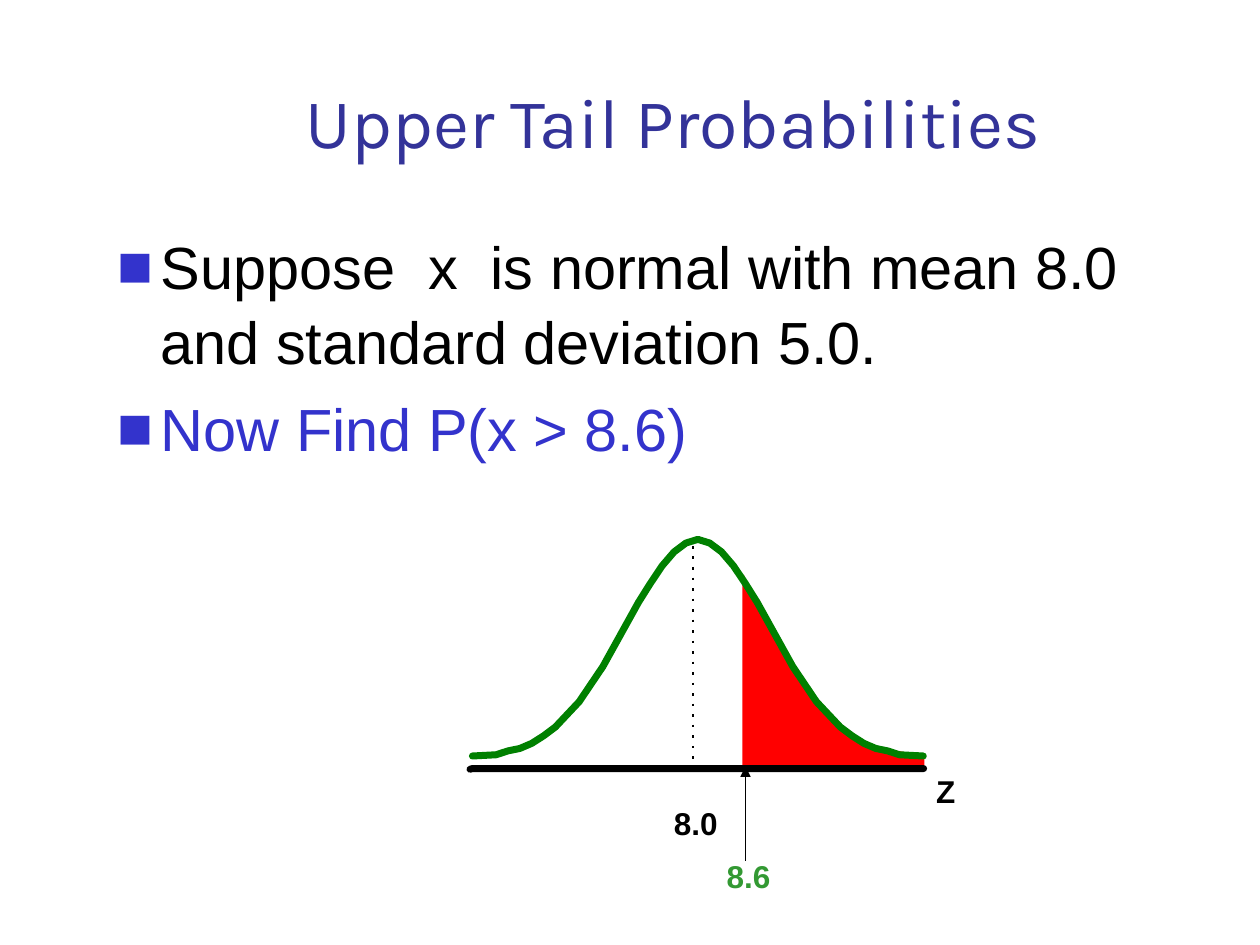
from dataclasses import dataclass

from lxml.etree import SubElement
from pptx import Presentation
from pptx.dml.color import RGBColor
from pptx.enum.shapes import MSO_CONNECTOR
from pptx.enum.text import MSO_ANCHOR, PP_ALIGN
from pptx.oxml.ns import qn
from pptx.util import Pt


@dataclass(frozen=True)
class Theme:
    title_font: str = "Karla"
    body_font: str = "Arial"
    title_size: float = 40
    body_size: float = 34
    label_size: float = 18
    title: str = "333399"
    accent: str = "3333CC"
    text: str = "000000"
    curve: str = "008000"
    tail: str = "FF0000"
    cutoff: str = "339933"


def add_xml(parent, tag, **attributes):
    return SubElement(parent, qn(tag), attributes)


class SlideBuilder:
    def __init__(self, slide, theme):
        self.slide = slide
        self.theme = theme

    def text(self, box, lines, font, size, bold=False, wrap=True,
             anchor=MSO_ANCHOR.TOP, bullet=None, **paragraph_format):
        shape = self.slide.shapes.add_textbox(*map(Pt, box))
        frame = shape.text_frame
        frame.word_wrap = wrap
        frame.vertical_anchor = anchor
        for index, (content, color) in enumerate(lines):
            paragraph = frame.paragraphs[0] if index == 0 else frame.add_paragraph()
            for name, value in paragraph_format.items():
                setattr(paragraph, name, value)
            run = paragraph.add_run()
            run.text = content
            for name, value in {"name": font, "size": Pt(size), "bold": bold}.items():
                setattr(run.font, name, value)
            run.font.color.rgb = RGBColor.from_string(color)
            if bullet:
                self.bullet(paragraph, bullet)
        return shape

    def bullet(self, paragraph, symbol):
        properties = paragraph._p.get_or_add_pPr()
        indent = Pt(25)
        properties.set("marL", str(indent))
        properties.set("indent", str(-indent))
        color = add_xml(properties, "a:buClr")
        add_xml(color, "a:srgbClr", val=self.theme.accent)
        add_xml(properties, "a:buFont", typeface=self.theme.body_font)
        add_xml(properties, "a:buChar", char=symbol)

    def label(self, left, top, width, content, color):
        self.text((left, top, width, 28.8), [(content, color)],
                  self.theme.body_font, self.theme.label_size, bold=True, wrap=False)

    def outline(self, points, color, width, fill=None):
        start, *rest = [(Pt(x), Pt(y)) for x, y in points]
        builder = self.slide.shapes.build_freeform(*start)
        builder.add_line_segments(rest, close=fill is not None)
        shape = builder.convert_to_shape()
        shape.shadow.inherit = False
        if fill:
            shape.fill.solid()
            shape.fill.fore_color.rgb = RGBColor.from_string(fill)
        else:
            shape.fill.background()
        shape.line.color.rgb = RGBColor.from_string(color)
        shape.line.width = Pt(width)
        line = shape.line._get_or_add_ln()
        line.set("cap", "rnd")
        add_xml(line, "a:round")

    def connector(self, start, end, width, dash=None, arrow=None):
        shape = self.slide.shapes.add_connector(
            MSO_CONNECTOR.STRAIGHT, *map(Pt, start + end))
        shape.line.color.rgb = RGBColor.from_string(self.theme.text)
        shape.line.width = Pt(width)
        line = shape.line._get_or_add_ln()
        if dash:
            add_xml(line, "a:prstDash", val=dash)
        if arrow:
            add_xml(line, "a:tailEnd", type=arrow)
        add_xml(shape._element.spPr, "a:effectLst")


def main():
    presentation = Presentation()
    presentation.slide_width = Pt(720)
    presentation.slide_height = Pt(540)
    slide = presentation.slides.add_slide(presentation.slide_layouts[6])
    theme = Theme()
    builder = SlideBuilder(slide, theme)

    builder.text((77.8, 30.2, 613.4, 66.2), [("Upper Tail Probabilities", theme.title)],
                 theme.title_font, theme.title_size, anchor=MSO_ANCHOR.BOTTOM,
                 alignment=PP_ALIGN.CENTER)
    body = [
        ("Suppose  x  is normal with mean 8.0 and standard deviation 5.0.", theme.text),
        ("Now Find P(x > 8.6)", theme.accent),
    ]
    builder.text((59.8, 126, 635.8, 324), body, theme.body_font, theme.body_size,
                 bullet="■", line_spacing=1.05, space_before=Pt(6.8))

    baseline = 439.2
    tail = [
        (424.8, baseline), (424.8, 329), (427.7, 337.7), (434.9, 348.5),
        (439.2, 358.6), (444.2, 365.8), (449.3, 376.6), (458.6, 391),
        (466.6, 401.8), (479.5, 415.4), (500.4, 427.7), (527.8, 432),
        (527.8, baseline),
    ]
    builder.outline(tail, theme.tail, 1, fill=theme.tail)

    center, step = 398.8, 6.78
    bell = [
        (19, 432), (17, 431.3), (16, 429.1), (15, 427.7), (14, 424.8), (13, 420.5),
        (12, 415.4), (10, 401), (8, 380.9), (6, 356.4), (5, 344.2), (4, 333.4),
        (3, 323.3), (2, 315.4), (1, 310.3), (0, 308.2),
    ]
    for side in (1, -1):
        half = [(center + side * step * offset, y) for offset, y in bell]
        builder.outline(half, theme.curve, 4)
    builder.outline([(268.6, baseline + 0.4), (270, baseline), (527.8, baseline)],
                    theme.text, 4)

    builder.label(527.8, 437.8, 30.2, "Z", theme.text)
    builder.label(408.2, 486, 39.6, "8.6", theme.cutoff)
    builder.label(378, 455.8, 39.6, "8.0", theme.text)
    builder.connector((426, 492), (426, 438), 1, arrow="triangle")
    builder.connector((396, 312), (396, 438), 1.5, dash="dot")

    presentation.save("out.pptx")


if __name__ == "__main__":
    main()
